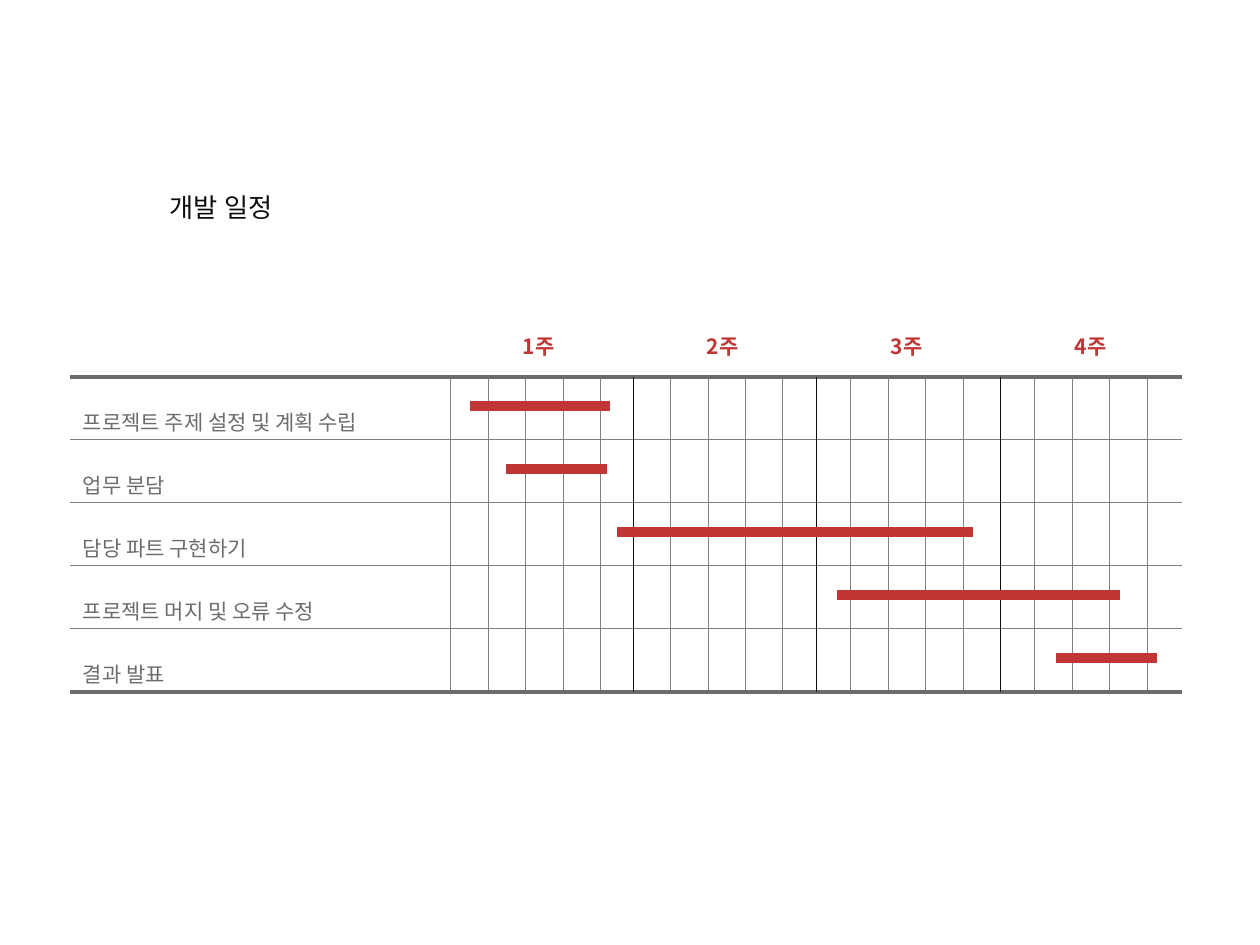
from dataclasses import dataclass

from lxml import etree
from pptx import Presentation
from pptx.dml.color import RGBColor
from pptx.enum.shapes import MSO_CONNECTOR
from pptx.enum.text import MSO_AUTO_SIZE, PP_ALIGN
from pptx.oxml.ns import qn
from pptx.slide import Slide
from pptx.util import Pt

STRAIGHT = MSO_CONNECTOR.STRAIGHT
LEFT, CENTER = PP_ALIGN.LEFT, PP_ALIGN.CENTER
GROW = MSO_AUTO_SIZE.SHAPE_TO_FIT_TEXT

RED = RGBColor(0xC1, 0x35, 0x35)
DARK = RGBColor(0x6C, 0x6C, 0x6C)
GRAY = RGBColor(0x80, 0x80, 0x80)
BLACK = RGBColor(0x0D, 0x0D, 0x0D)
FONT = "Noto Sans CJK KR"

X_MIN, X_MAX = 40.3, 675.4
Y_MIN, ROW = 215.3, 36
WEEK, DAY = 105.1, 21.4
THIN, THICK, BAR = 0.5, 2.25, 6


@dataclass
class Style:
    size: float
    color: RGBColor
    bold: bool = False
    align: PP_ALIGN = LEFT
    space: float = 1.0


@dataclass
class Box:
    left: float
    top: float
    width: float
    height: float


@dataclass
class Line:
    x1: float
    y1: float
    x2: float
    y2: float
    color: RGBColor = GRAY
    width: float = THIN


@dataclass
class Task:
    name: str
    start: float
    end: float


@dataclass
class Week:
    name: str
    days: float
    count: int = 4


TITLE = Style(15, BLACK, space=1.5)
LABEL = Style(12, DARK, space=2.5)
HEAD = Style(12, RED, bold=True, align=CENTER)

TASKS = [
    Task("프로젝트 주제 설정 및 계획 수립", 268.6, 348.5),
    Task("업무 분담", 289.4, 347),
    Task("담당 파트 구현하기", 352.8, 555.8),
    Task("프로젝트 머지 및 오류 수정", 478.1, 640.1),
    Task("결과 발표", 603.4, 661),
]
WEEKS = [
    Week("1주", 257.6, 5),
    Week("2주", 383.2),
    Week("3주", 486.2),
    Week("4주", 591.4),
]
EDGES = [362.2, 466.6, 571.7]
Y_MAX = Y_MIN + ROW * len(TASKS)


def add_text(slide: Slide, box: Box, lines: list[str], style: Style) -> None:
    shape = slide.shapes.add_textbox(
        Pt(box.left), Pt(box.top), Pt(box.width), Pt(box.height))
    frame = shape.text_frame
    frame.word_wrap = True
    frame.auto_size = GROW
    form = {"name": FONT, "size": Pt(style.size), "bold": style.bold}
    for index, line in enumerate(lines):
        para = frame.add_paragraph() if index else frame.paragraphs[0]
        para.alignment = style.align
        para.line_spacing = style.space
        run = para.add_run()
        run.text = line
        for key, value in form.items():
            setattr(run.font, key, value)
        run.font.color.rgb = style.color
        props = run._r.get_or_add_rPr()
        etree.SubElement(props, qn("a:ea"), typeface=FONT)


def add_line(slide: Slide, line: Line) -> None:
    shape = slide.shapes.add_connector(
        STRAIGHT, Pt(line.x1), Pt(line.y1), Pt(line.x2), Pt(line.y2))
    shape.line.color.rgb = line.color
    shape.line.width = Pt(line.width)
    etree.SubElement(shape._element.spPr, qn("a:effectLst"))


def add_grid(slide: Slide) -> None:
    for week in WEEKS:
        for day in range(week.count):
            x = week.days + day * DAY
            add_line(slide, Line(x, Y_MIN, x, Y_MAX))
    for row in range(len(TASKS) + 1):
        y = Y_MIN + row * ROW
        form = (DARK, THICK) if row in (0, len(TASKS)) else (GRAY, THIN)
        add_line(slide, Line(X_MIN, y, X_MAX, y, *form))
    for x in EDGES:
        add_line(slide, Line(x, Y_MIN, x, Y_MAX, BLACK))


def main() -> None:
    """Build the schedule slide and save it."""
    deck = Presentation()
    deck.slide_width, deck.slide_height = Pt(720), Pt(540)
    slide = deck.slides.add_slide(deck.slide_layouts[6])
    names = [task.name for task in TASKS]
    add_text(slide, Box(X_MIN, 208.8, 217.4, 189.4), names, LABEL)
    add_grid(slide)
    for index, week in enumerate(WEEKS):
        box = Box(279.4 + index * WEEK, 187.2, 56.9, 21.6)
        add_text(slide, box, [week.name], HEAD)
    for row, task in enumerate(TASKS):
        y = Y_MIN + row * ROW + 16.8
        add_line(slide, Line(task.start, y, task.end, y, RED, BAR))
    add_text(slide, Box(90, 96.5, 78.5, 34.6), ["개발 일정"], TITLE)
    deck.save("out.pptx")


if __name__ == "__main__":
    main()
